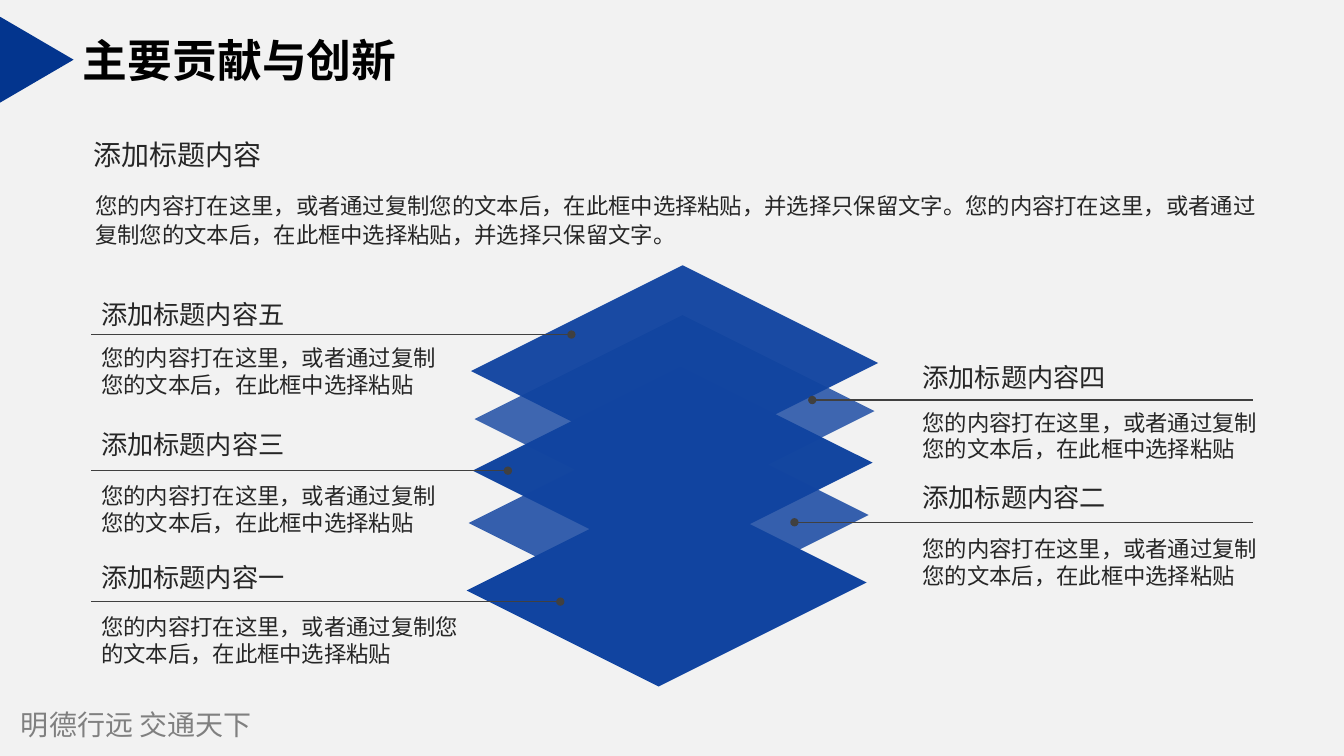
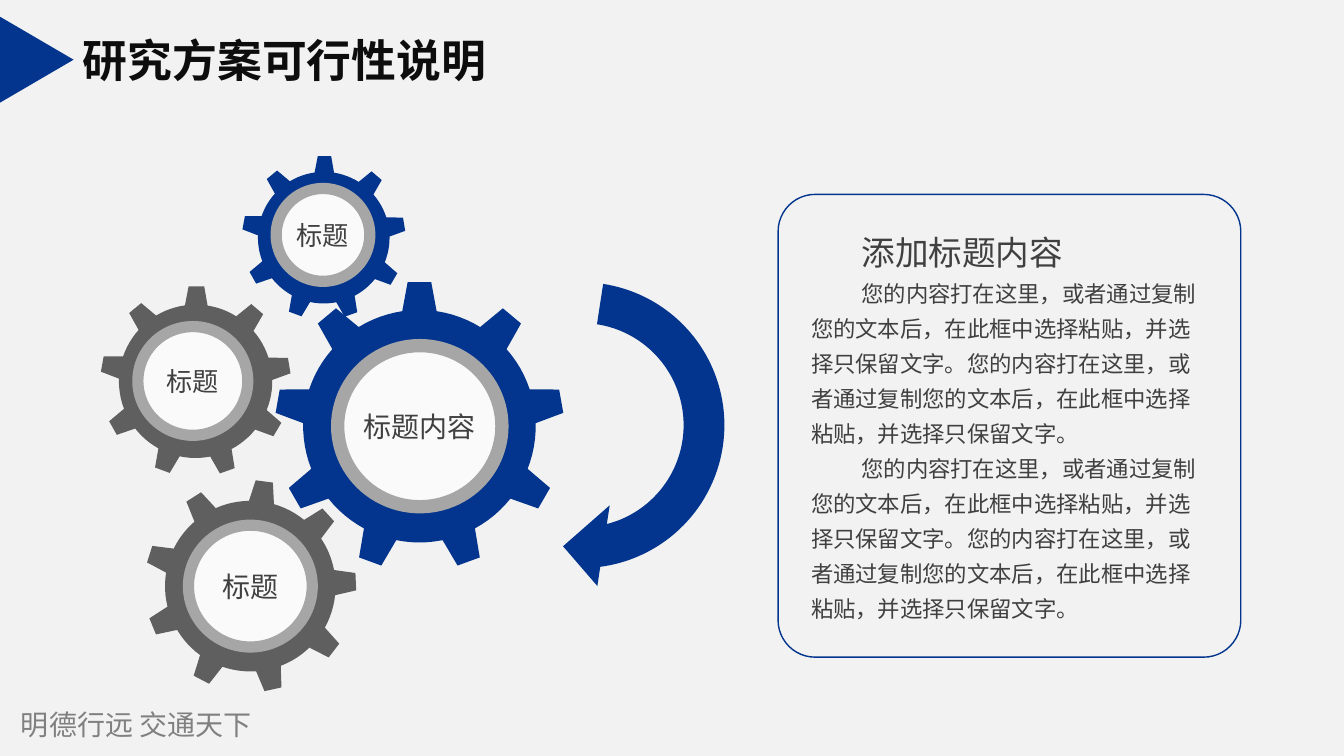
"""Build two thesis slides: a stack of layers with callouts, and meshing gears."""
import math

from pptx import Presentation
from pptx import util as u
from pptx.dml.color import RGBColor
from pptx.enum import shapes, text
from pptx.oxml.ns import qn
from lxml import etree

NAVY, LAYER, PAPER, WHITE = "03358E", "1144A0", "F2F2F2", "FAFAFA"
INK, SLATE, RING, GEAR_GREY = "262626", "404040", "A6A6A6", "5F5F5F"
SANS = "Noto Sans CJK SC"
WIDE, NARROW = (0.34, 0.17), (0.25, 0.13)

FOOTER = "明德行远 交通天下"
SHORT = "您的内容打在这里，或者通过复制您的文本后，在此框中选择粘贴"
LONG = (SHORT + "，并选择只保留文字。") * 2

# centre x, centre y, half width, opacity
LAYERS = [
    (16.8, 14.78, 5.04, 100),
    (16.85, 13.08, 5.04, 84),
    (16.95, 11.76, 5.04, 99),
    (17, 10.46, 5.04, 80),
    (17, 9.25, 5.13, 96),
]
SIDES = {"left": (2.21, 2.29), "right": (22.91, 31.57)}
CALLOUTS = [
    dict(head="添加标题内容五", side="left", dot=14.4, rule=8.43, top=7.34, body=8.51, width=9.17),
    dict(head="添加标题内容四", side="right", dot=20.47, rule=10.08, top=8.94, body=10.13, width=9.27),
    dict(head="添加标题内容二", side="right", dot=20.02, rule=13.16, top=11.96, body=13.31, width=9.27),
    dict(head="添加标题内容三", side="left", dot=12.8, rule=11.86, top=10.62, body=11.99, width=9.17),
    dict(head="添加标题内容一", side="left", dot=14.12, rule=15.16, top=13.97, body=15.29, width=9.7),
]
GEARS = [
    dict(label="标题内容", size=20, centre=(10.57, 10.74), tip=3.64, tilt=0, color=NAVY,
         hub=(10.58, 10.74, 4.14, 4.06), ring=9.5),
    dict(label="标题", size=20, centre=(6.31, 14.77), tip=2.67, tilt=7.6, color=GEAR_GREY,
         hub=(6.31, 14.77, 3.12, 3.07), ring=8),
    dict(label="标题", size=18.7, centre=(4.93, 9.61), tip=2.4, tilt=0.5, color=GEAR_GREY,
         hub=(4.86, 9.6, 2.77, 2.74), ring=8),
    dict(label="标题", size=18.7, centre=(8.16, 5.99), tip=2.06, tilt=0.5, color=NAVY,
         hub=(8.14, 5.92, 2.36, 2.34), ring=8),
]
# text, size, line spacing
PANEL = [("添加标题内容", 24, 2.0), (LONG, 16, 1.3), (LONG, 16, 1.3)]


def rgb(value):
    """Turn a hex string into a colour."""
    return RGBColor.from_string(value)


def paint(shape, fill=None, line=None, width=1, opacity=100):
    """Set fill, outline and opacity, without a shadow."""
    shape.shadow.inherit = False
    if fill:
        shape.fill.solid()
        shape.fill.fore_color.rgb = rgb(fill)
        if opacity < 100:
            color = shape.fill._xPr.find(qn("a:solidFill"))[0]
            etree.SubElement(color, qn("a:alpha"), val=str(opacity * 1000))
    else:
        shape.fill.background()
    if line:
        shape.line.color.rgb = rgb(line)
        shape.line.width = u.Pt(width)
    else:
        shape.line.fill.background()
    return shape


def add_preset(page, kind, at, rotation=0, **look):
    """Add a painted preset shape."""
    shape = page.shapes.add_shape(kind, *map(u.Cm, at))
    shape.rotation = rotation
    return paint(shape, **look)


def add_outline(page, points, **look):
    """Add a painted closed polygon."""
    start, *rest = [(u.Cm(x), u.Cm(y)) for x, y in points]
    builder = page.shapes.build_freeform(*start)
    builder.add_line_segments(rest, close=True)
    return paint(builder.convert_to_shape(), **look)


def write(para, words, size=16, color=INK, font=SANS, bold=False, spacing=None, indent=0, align=None):
    """Fill a paragraph with formatted text."""
    if indent:
        para._p.get_or_add_pPr().set("indent", str(u.Cm(indent)))
    if spacing:
        para.line_spacing = spacing
    if align:
        para.alignment = align
    span = para.add_run()
    span.text = words
    span.font.size, span.font.bold, span.font.name = u.Pt(size), bold, font
    span.font.color.rgb = rgb(color)
    etree.SubElement(span._r.get_or_add_rPr(), qn("a:ea"), typeface=font)


def set_margins(frame, side, edge):
    """Set the inner margins of a text frame."""
    frame.margin_left = frame.margin_right = u.Cm(side)
    frame.margin_top = frame.margin_bottom = u.Cm(edge)


def add_text(page, at, words, wrap=True, margins=WIDE, **style):
    """Add a text box with one paragraph and return its frame."""
    frame = page.shapes.add_textbox(*map(u.Cm, at)).text_frame
    frame.word_wrap = wrap
    frame.auto_size = text.MSO_AUTO_SIZE.SHAPE_TO_FIT_TEXT
    set_margins(frame, *margins)
    write(frame.paragraphs[0], words, **style)
    return frame


def add_page(deck, title, width, color):
    """Add a blank page with footer, title and corner triangle."""
    page = deck.slides.add_slide(deck.slide_layouts[6])
    add_text(page, (0.28, 17.7, 10, 1.12), FOOTER, margins=NARROW, size=20,
             color="808080", font="Noto Sans CJK JP")
    add_text(page, (1.75, 0.66, width, 1.7), title, wrap=False, size=32,
             color=color, font="Arial", bold=True)
    add_preset(page, shapes.MSO_SHAPE.ISOSCELES_TRIANGLE, (-0.15, 0.58, 2.16, 1.85), 90, fill=NAVY)
    return page


def add_layer(page, x, y, half, opacity):
    """Add one tilted sheet of the stack."""
    corners = [(0.04, -0.5), (1, -0.02), (-0.04, 0.5), (-1, 0.02)]
    add_outline(page, [(x + half * a, y + half * b) for a, b in corners], fill=LAYER, opacity=opacity)


def add_callout(page, head, side, dot, rule, top, body, width):
    """Add a dotted leader line with heading and text."""
    left, end = SIDES[side]
    line = page.shapes.add_connector(shapes.MSO_CONNECTOR.STRAIGHT, *map(u.Cm, (dot, rule, end, rule)))
    line.line.color.rgb = rgb(SLATE)
    line.line.width = u.Pt(1)
    etree.SubElement(line.line._get_or_add_ln(), qn("a:headEnd"), type="oval")
    etree.SubElement(line._element.spPr, qn("a:effectLst"))
    add_text(page, (left, body, width, 1.7), SHORT)
    add_text(page, (left, top, 6.2, 1.14), head, size=18.7)


def gear_points(centre, tip, tilt, teeth=9):
    """Return the outline of a gear, tooth by tooth."""
    step, root = 360 / teeth, tip * 0.805
    profile = [(-8.5, root), (-4.7, tip), (4.7, tip)]
    profile += [(8.5 + (step - 17) * n / 6, root) for n in range(6)]
    points = []
    for tooth in range(teeth):
        for offset, radius in profile:
            angle = math.radians(tilt + tooth * step + offset)
            points.append((centre[0] + radius * math.sin(angle), centre[1] - radius * math.cos(angle)))
    return points


def add_gear(page, label, size, centre, tip, tilt, color, hub, ring):
    """Add a gear with a labelled hub."""
    add_outline(page, gear_points(centre, tip, tilt), fill=color)
    x, y, width, height = hub
    disc = add_preset(page, shapes.MSO_SHAPE.OVAL, (x - width / 2, y - height / 2, width, height),
                      fill=WHITE, line=RING, width=ring)
    frame = disc.text_frame
    set_margins(frame, 0, 0)
    frame.word_wrap = True
    frame.vertical_anchor = text.MSO_ANCHOR.MIDDLE
    write(frame.paragraphs[0], label, size=size, color=SLATE, align=text.PP_ALIGN.CENTER)


def build_layers(deck):
    """Build the contributions page."""
    page = add_page(deck, "主要贡献与创新", 8.66, "000000")
    for layer in LAYERS:
        add_layer(page, *layer)
    for callout in CALLOUTS:
        add_callout(page, **callout)
    add_text(page, (2.01, 3.3, 4.95, 1.19), "添加标题内容", wrap=False, size=20)
    add_text(page, (2.06, 4.6, 30.07, 1.8), LONG, spacing=1.1)


def build_gears(deck):
    """Build the feasibility page."""
    page = add_page(deck, "研究方案可行性说明", 10.95, "0D0D0D")
    for gear in GEARS:
        add_gear(page, **gear)
    add_preset(page, shapes.MSO_SHAPE.CIRCULAR_ARROW, (10.54, 6.6, 8.23, 8.23), 98.7, fill=NAVY)
    panel = add_preset(page, shapes.MSO_SHAPE.ROUNDED_RECTANGLE, (19.61, 4.9, 11.66, 11.66), line=NAVY)
    panel.adjustments[0] = 0.08
    frame = None
    for words, size, spacing in PANEL:
        style = dict(size=size, color=SLATE, spacing=spacing, indent=1.27)
        if frame is None:
            frame = add_text(page, (20.19, 4.7, 10.57, 12.01), words, margins=NARROW, **style)
        else:
            write(frame.add_paragraph(), words, **style)


def main():
    """Create and save the deck."""
    deck = Presentation()
    deck.slide_width, deck.slide_height = u.Cm(33.87), u.Cm(19.05)
    backdrop = deck.slide_master.background.fill
    backdrop.solid()
    backdrop.fore_color.rgb = rgb(PAPER)
    build_layers(deck)
    build_gears(deck)
    deck.save("out.pptx")


if __name__ == "__main__":
    main()
